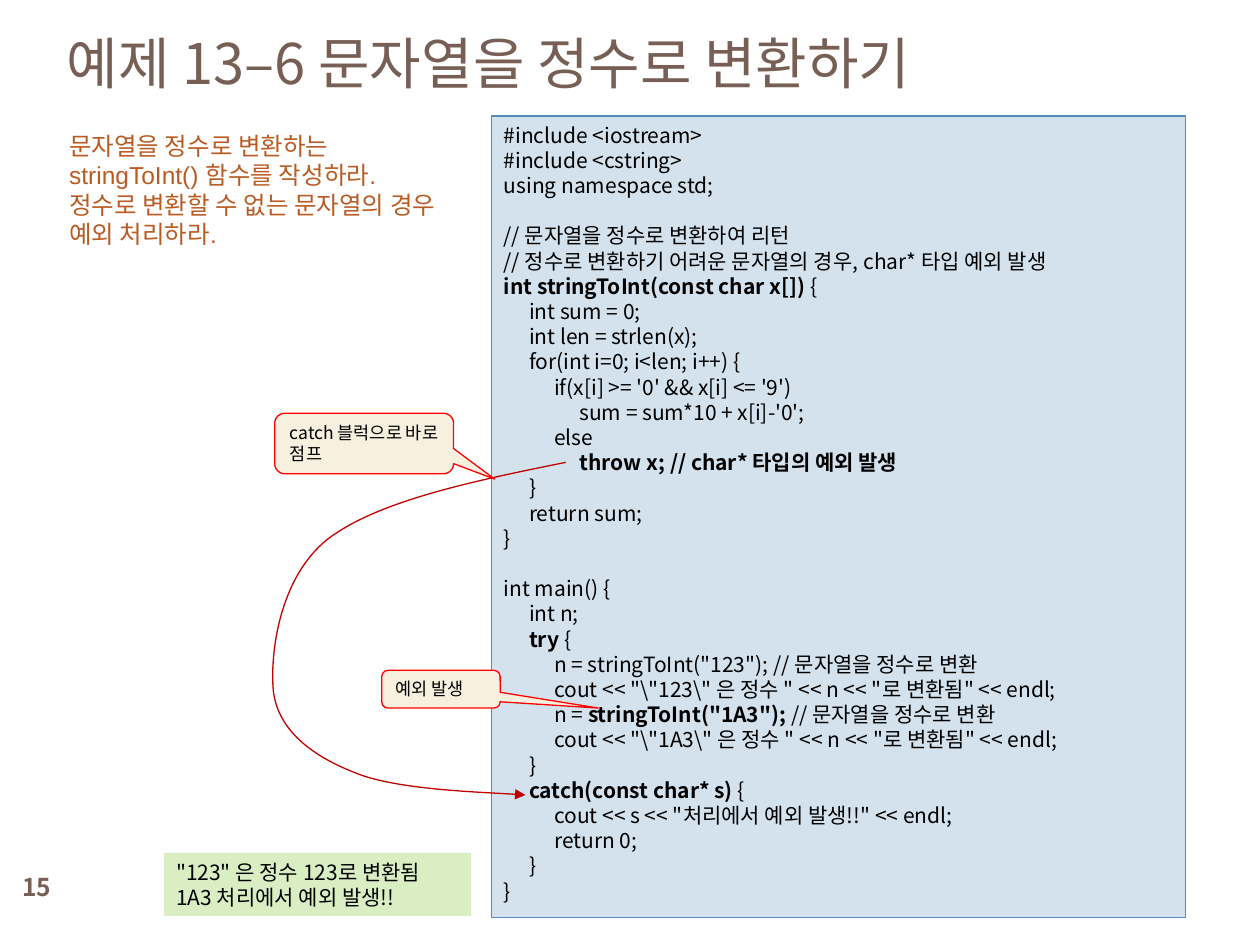
"""Build a slide on converting strings to integers with exceptions."""
import dataclasses

import pptx
import pptx.dml.color
import pptx.enum.shapes
import pptx.enum.text
import pptx.oxml
import pptx.oxml.ns
import pptx.util
from pptx.util import Inches

SHAPE = pptx.enum.shapes.MSO_SHAPE
ALIGN = pptx.enum.text.PP_ALIGN
ANCHOR = pptx.enum.text.MSO_ANCHOR


@dataclasses.dataclass(frozen=True)
class Theme:
    """Hold the fonts, colours and type sizes of the slide."""
    font: str = "Noto Sans CJK KR"
    sans: str = "Arial"
    ink: str = "000000"
    brown: str = "775F55"
    rust: str = "B95B22"
    blue: str = "D4E2ED"
    edge: str = "558BB8"
    green: str = "DAEEC4"
    cream: str = "F7F0DE"
    red: str = "FF0000"
    wine: str = "C00000"
    title: int = 32
    lead: int = 14
    body: int = 12
    note: int = 10
    line: float = 0.75
    pitch: float = 1.2
    tab: float = 0.2


THEME = Theme()

CODE = r"""#include <iostream>
#include <cstring>
using namespace std;

// 문자열을 정수로 변환하여 리턴
// 정수로 변환하기 어려운 문자열의 경우, char* 타입 예외 발생
`int stringToInt(const char x[]) `{
    int sum = 0;
    int len = strlen(x);
    for(int i=0; i<len; i++) {
        if(x[i] >= '0' && x[i] <= '9')
            sum = sum*10 + x[i]-'0';
        else
            `throw x; // char* 타입의 예외 발생`
    }
    return sum;
}

int main() {
    int n;
    `try` {
        n = stringToInt("123"); // 문자열을 정수로 변환
        cout << "\"123\" 은 정수 " << n << "로 변환됨" << endl;
        n = `stringToInt("1A3"); `// 문자열을 정수로 변환
        cout << "\"1A3\" 은 정수 " << n << "로 변환됨" << endl;
    }
    `catch(const char* s) `{
        cout << s << "처리에서 예외 발생!!" << endl;
        return 0;
    }
}"""

CURVE = [(4.49, 3.67), (3.74, 3.82), (2.99, 3.98), (2.6, 4.28),
         (2.22, 4.58), (2.14, 5.18), (2.17, 5.49),
         (2.21, 5.8), (2.48, 6), (2.81, 6.13),
         (3.14, 6.27), (3.95, 6.29), (4.17, 6.31)]


def tint(code):
    """Turn a hex code into a colour."""
    return pptx.dml.color.RGBColor.from_string(code)


def child(tag, **attrs):
    """Make a drawing element with the given attributes."""
    node = pptx.oxml.parse_xml(f"<a:{tag} {pptx.oxml.ns.nsdecls('a')}/>")
    for key, value in attrs.items():
        node.set(key, str(value))
    return node


def add_tabs(para):
    """Set evenly spaced tab stops for code."""
    tabs = child("tabLst")
    for step in range(1, 4):
        tabs.append(child("tab", pos=Inches(THEME.tab * step), algn="l"))
    para._p.get_or_add_pPr().append(tabs)


def write(shape, text, size=THEME.body, color=THEME.ink, font=THEME.font,
          bold=False, align=ALIGN.LEFT, anchor=ANCHOR.TOP):
    """Write lines of text, with backticks around bold parts."""
    frame = shape.text_frame
    frame.word_wrap = True
    frame.vertical_anchor = anchor
    frame.auto_size = pptx.enum.text.MSO_AUTO_SIZE.NONE
    pitch = pptx.util.Pt(size * THEME.pitch)
    gap, fresh = 0, True
    for line in text.split("\n"):
        if not line:
            gap = pitch
            continue
        para = frame.paragraphs[0] if fresh else frame.add_paragraph()
        para.alignment = align
        para.line_spacing, para.space_before = pitch, gap
        gap, fresh = 0, False
        if "    " in line:
            add_tabs(para)
        for spot, part in enumerate(line.replace("    ", "\t").split("`")):
            if part:
                run = para.add_run()
                run.text = part
                run.font.size = pptx.util.Pt(size)
                run.font.bold = bold or spot % 2 == 1
                run.font.color.rgb = tint(color)
                run.font.name = font
                run._r.get_or_add_rPr().append(
                    child("ea", typeface=THEME.font))


def add_label(slide, box, text, **form):
    """Add a plain text box."""
    write(slide.shapes.add_textbox(*map(Inches, box)), text, **form)


def add_panel(slide, box, text, fill, edge=None, kind=SHAPE.RECTANGLE,
              tip=(), **form):
    """Add a filled shape holding text."""
    shape = slide.shapes.add_shape(kind, *map(Inches, box))
    shape.shadow.inherit = False
    shape.fill.solid()
    shape.fill.fore_color.rgb = tint(fill)
    if edge:
        shape.line.color.rgb = tint(edge)
        shape.line.width = pptx.util.Pt(THEME.line)
    else:
        shape.line.fill.background()
    for spot, value in enumerate(tip):
        shape.adjustments[spot] = value
    write(shape, text, **form)


def add_note(slide, box, text, tip):
    """Add a rounded callout pointing at its tip."""
    add_panel(slide, box, text, THEME.cream, THEME.red,
              SHAPE.ROUNDED_RECTANGULAR_CALLOUT, (*tip, 0.167),
              size=THEME.note)


def add_curve(slide, points, color):
    """Add a smooth arrow through Bezier points."""
    spots = [(Inches(x), Inches(y)) for x, y in points]
    pen = slide.shapes.build_freeform(*spots[0])
    pen.add_line_segments(spots[1:], close=False)
    shape = pen.convert_to_shape()
    shape.shadow.inherit = False
    shape.fill.background()
    shape.line.color.rgb = tint(color)
    shape.line.width = pptx.util.Pt(THEME.line)
    steps = shape._element.findall(".//" + pptx.oxml.ns.qn("a:lnTo"))
    route = steps[0].getparent()
    for start in range(0, len(steps), 3):
        bend = child("cubicBezTo")
        for step in steps[start:start + 3]:
            bend.append(step[0])
            route.remove(step)
        route.append(bend)
    shape.line._get_or_add_ln().append(child("tailEnd", type="triangle"))


def add_title(slide, box, text):
    """Place and format the slide title."""
    title = slide.shapes.title
    title.left, title.top, title.width, title.height = map(Inches, box)
    write(title, text, size=THEME.title, color=THEME.brown,
          anchor=ANCHOR.MIDDLE)


def main():
    """Build and save the slide."""
    deck = pptx.Presentation()
    deck.slide_width, deck.slide_height = Inches(10), Inches(7.5)
    slide = deck.slides.add_slide(deck.slide_layouts[5])
    add_label(slide, (0, 6.83, 0.58, 0.42), "15", size=THEME.lead,
              color=THEME.brown, bold=True, align=ALIGN.CENTER,
              anchor=ANCHOR.MIDDLE)
    add_title(slide, (0.43, 0.12, 8.92, 0.74),
              "예제 13–6 문자열을 정수로 변환하기")
    add_panel(slide, (3.9, 0.92, 5.51, 6.36), CODE, THEME.blue, THEME.edge)
    add_panel(slide, (1.3, 6.77, 2.44, 0.5),
              '"123" 은 정수 123로 변환됨\n1A3 처리에서 예외 발생!!',
              THEME.green)
    add_note(slide, (3.03, 5.32, 0.94, 0.3), "예외 발생", (1.33, 0.5))
    add_label(slide, (0.45, 0.99, 3.15, 1.04),
              "문자열을 정수로 변환하는 stringToInt() 함수를 작성하라. "
              "정수로 변환할 수 없는 문자열의 경우 예외 처리하라.",
              size=THEME.lead, color=THEME.rust, font=THEME.sans)
    add_curve(slide, CURVE, THEME.wine)
    add_note(slide, (2.18, 3.28, 1.42, 0.48), "catch 블럭으로 바로 점프",
             (0.73, 0.59))
    deck.save("out.pptx")


if __name__ == "__main__":
    main()
